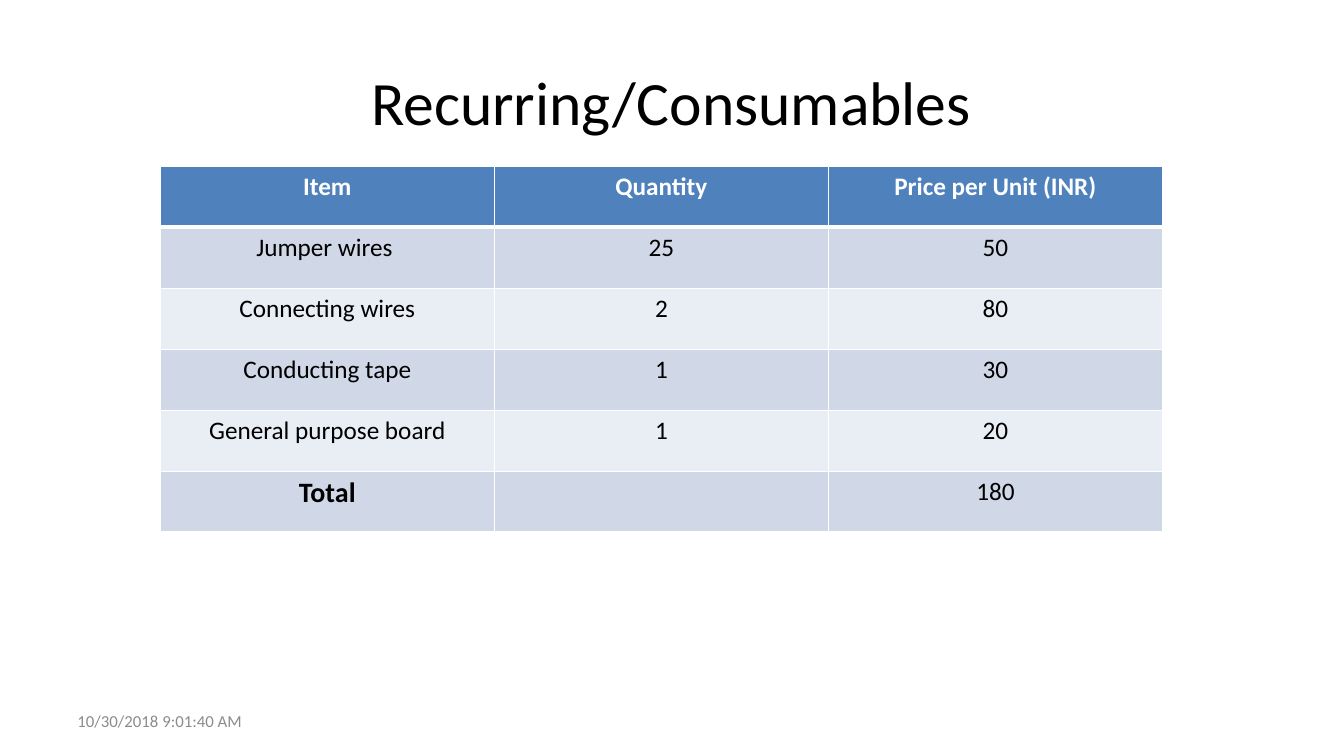
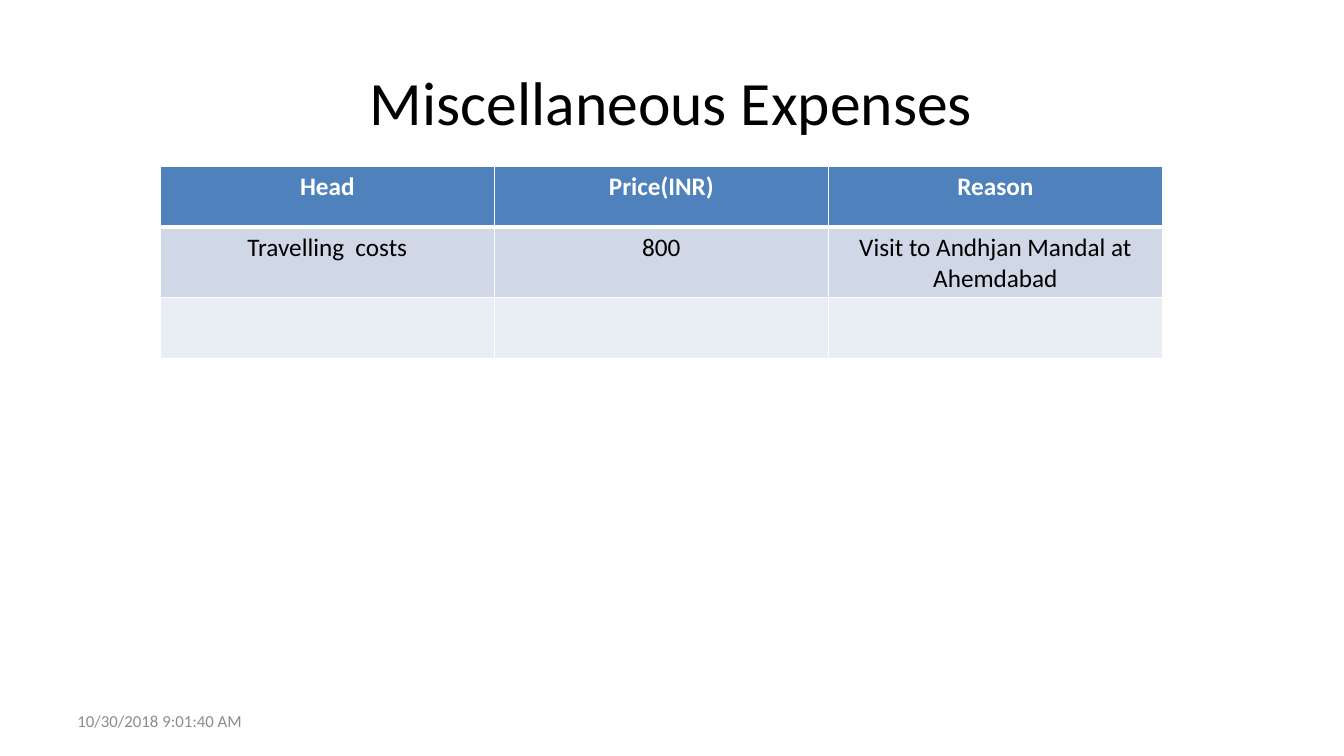
from dataclasses import dataclass

from lxml.etree import SubElement
from pptx import Presentation
from pptx.dml.color import RGBColor
from pptx.enum.text import MSO_ANCHOR, PP_ALIGN
from pptx.oxml.ns import qn
from pptx.util import Inches, Pt

# Shared style
FONT = "Calibri"
BLACK = RGBColor(0x00, 0x00, 0x00)
WHITE = RGBColor(0xFF, 0xFF, 0xFF)
GREY = RGBColor(0x8C, 0x8C, 0x8C)
HEADER_BLUE = RGBColor(0x4F, 0x81, 0xBD)
BANDS = (RGBColor(0xD0, 0xD8, 0xE8), RGBColor(0xE9, 0xED, 0xF4))
THIN, THICK = Pt(1), Pt(3)

TABLE_LEFT, TABLE_TOP, TABLE_WIDTH = Inches(1.59), Inches(1.65), Inches(9.94)
ROW_HEIGHT = Inches(3.63) // 6
DATE = "10/30/2018 9:01:40 AM"


@dataclass(frozen=True)
class TextStyle:
    size: int
    color: RGBColor = BLACK
    bold: bool = False
    align: PP_ALIGN = PP_ALIGN.CENTER


TITLE = TextStyle(44)
FOOTER = TextStyle(12, GREY, align=PP_ALIGN.LEFT)
HEADER = TextStyle(18, WHITE, bold=True)
BODY = TextStyle(18)
TOTAL = TextStyle(20, bold=True)


@dataclass(frozen=True)
class ExpenseSlide:
    title: str
    rows: tuple[tuple[str, ...], ...]


SLIDES = (
    ExpenseSlide("Recurring/Consumables", (
        ("Item", "Quantity", "Price per Unit (INR)"),
        ("Jumper wires ", "25", "50"),
        ("Connecting wires", "2", "80"),
        ("Conducting tape", "1", "30"),
        ("General purpose board", "1", "20"),
        ("Total", "", "180"),
    )),
    ExpenseSlide("Miscellaneous Expenses", (
        ("Head", "Price(INR)", "Reason"),
        ("Travelling  costs", "800", "Visit to Andhjan Mandal at Ahemdabad"),
        ("", "", ""),
    )),
)


def write(frame, text: str, style: TextStyle) -> None:
    para = frame.paragraphs[0]
    para.alignment = style.align
    if not text:
        para.font.size = Pt(style.size)
        return
    span = para.add_run()
    span.text = text
    span.font.name = FONT
    span.font.size = Pt(style.size)
    span.font.bold = style.bold
    span.font.color.rgb = style.color


def add_text(page, text: str, style: TextStyle, left: float, top: float,
             width: float, height: float) -> None:
    box = page.shapes.add_textbox(
        Inches(left), Inches(top), Inches(width), Inches(height))
    box.text_frame.word_wrap = True
    box.text_frame.vertical_anchor = MSO_ANCHOR.MIDDLE
    write(box.text_frame, text, style)


def set_borders(cell, top: int, bottom: int) -> None:
    """Draw white cell borders; call before filling, as lines precede the fill."""
    properties = cell._tc.get_or_add_tcPr()
    widths = {"a:lnL": THIN, "a:lnR": THIN, "a:lnT": top, "a:lnB": bottom}
    for tag, width in widths.items():
        line = SubElement(properties, qn(tag), w=str(width))
        fill = SubElement(line, qn("a:solidFill"))
        SubElement(fill, qn("a:srgbClr"), val=str(WHITE))


def add_expense_table(page, rows: tuple[tuple[str, ...], ...]) -> None:
    table = page.shapes.add_table(
        len(rows), len(rows[0]), TABLE_LEFT, TABLE_TOP,
        TABLE_WIDTH, ROW_HEIGHT * len(rows)).table
    for row_index, texts in enumerate(rows):
        is_header = row_index == 0
        for column_index, text in enumerate(texts):
            cell = table.cell(row_index, column_index)
            set_borders(cell, top=THICK if row_index == 1 else THIN,
                        bottom=THICK if is_header else THIN)
            cell.fill.solid()
            cell.fill.fore_color.rgb = (
                HEADER_BLUE if is_header else BANDS[(row_index - 1) % 2])
            style = HEADER if is_header else TOTAL if text == "Total" else BODY
            write(cell.text_frame, text, style)


def add_expense_slide(deck, content: ExpenseSlide) -> None:
    page = deck.slides.add_slide(deck.slide_layouts[6])
    add_expense_table(page, content.rows)
    add_text(page, DATE, FOOTER, 0.67, 6.95, 3.11, 0.4)
    add_text(page, content.title, TITLE, 1.96, 0.48, 9.4, 1.04)


def main() -> None:
    deck = Presentation()
    deck.slide_width, deck.slide_height = Inches(13.33), Inches(7.5)
    for content in SLIDES:
        add_expense_slide(deck, content)
    deck.save("out.pptx")


if __name__ == "__main__":
    main()
